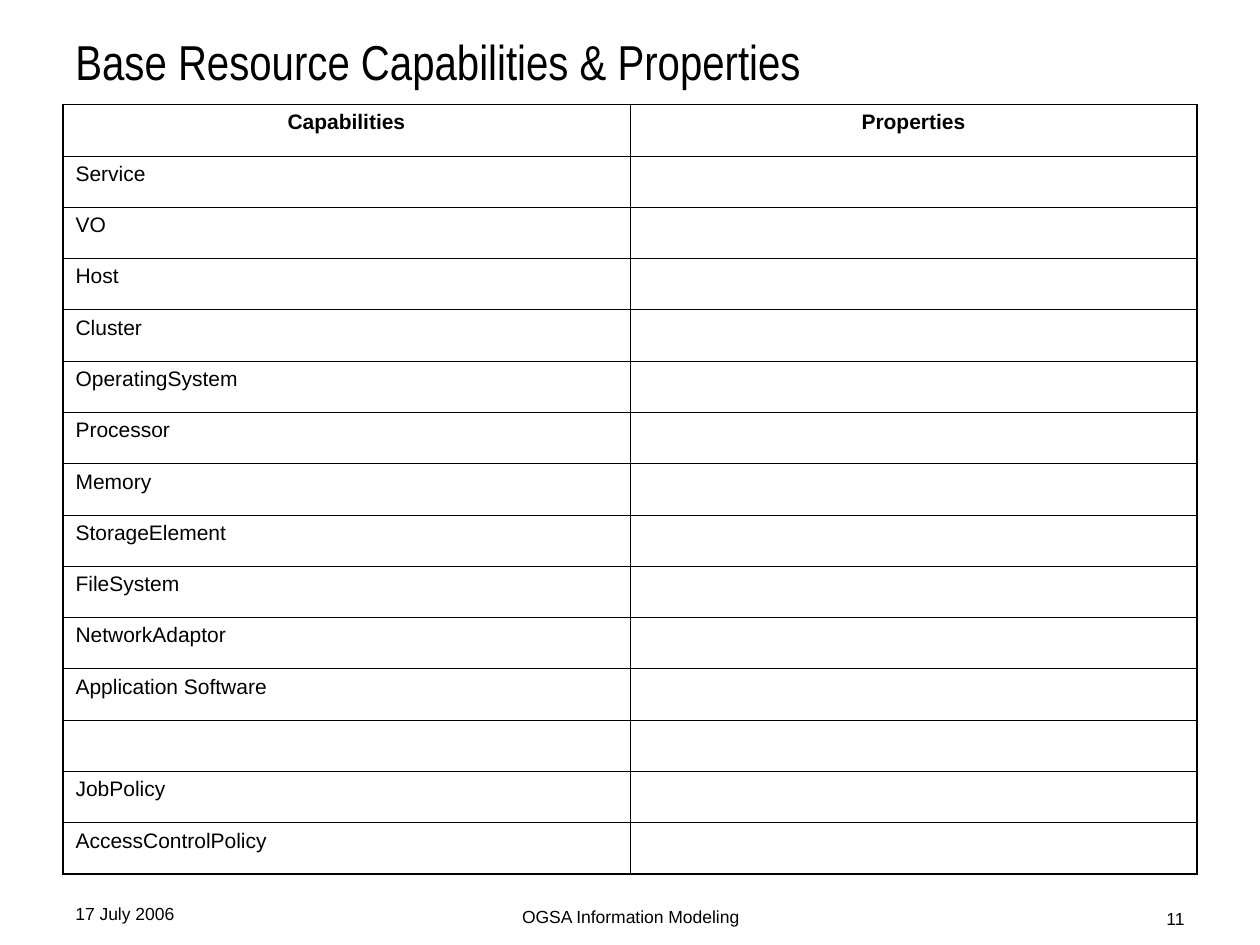
from lxml import etree
from pptx import Presentation, util as u
from pptx.dml.color import RGBColor
from pptx.enum import text
from pptx.oxml.ns import qn

BLACK = RGBColor(0, 0, 0)
THICK, THIN = 1.08, 0.45
W, H, MARGIN = 10, 7.5, 0.5
LEFT, CENTER, RIGHT = text.PP_ALIGN.LEFT, text.PP_ALIGN.CENTER, text.PP_ALIGN.RIGHT
TOP, MIDDLE = text.MSO_ANCHOR.TOP, text.MSO_ANCHOR.MIDDLE

HEADERS = ["Capabilities", "Properties"]
CAPABILITIES = [
    "Service", "VO", "Host", "Cluster", "OperatingSystem", "Processor",
    "Memory", "StorageElement", "FileSystem", "NetworkAdaptor",
    "Application Software", "", "JobPolicy", "AccessControlPolicy",
]
TABLE_TOP, TABLE_H = 0.83, 6.11
LABELS = [
    ("Base Resource Capabilities & Properties",
     (MARGIN, 0.3, W - 2 * MARGIN, 0.37), LEFT, MIDDLE, "Arial Narrow", 28),
    ("OGSA Information Modeling", (3.42, 7.14, 3.17, 0.21), CENTER, TOP, "Arial", 10),
    ("11", (7.17, 7.16, 2.33, 0.19), RIGHT, TOP, "Arial", 10),
    ("17 July 2006", (MARGIN, 7.12, 2.33, 0.23), LEFT, TOP, "Arial", 10),
]


def style(p, font, size, align, bold=False):
    p.alignment = align
    p.font.name, p.font.size, p.font.bold = font, u.Pt(size), bold
    p.font.color.rgb = BLACK


def add_label(s, words, box, align, anchor, font, size):
    tf = s.shapes.add_textbox(*map(u.Inches, box)).text_frame
    tf.word_wrap = True
    tf.vertical_anchor = anchor
    tf.text = words
    style(tf.paragraphs[0], font, size, align)


def set_borders(cell, widths):
    tcPr = cell._tc.get_or_add_tcPr()
    for i, (side, width) in enumerate(widths.items()):
        ln = etree.Element(qn(f"a:ln{side}"), w=str(u.Pt(width)))
        fill = etree.SubElement(ln, qn("a:solidFill"))
        etree.SubElement(fill, qn("a:srgbClr"), val=str(BLACK))
        tcPr.insert(i, ln)


def add_grid(s):
    rows = [HEADERS] + [[name, ""] for name in CAPABILITIES]
    n, m = len(rows), len(HEADERS)
    tbl = s.shapes.add_table(n, m, *map(
        u.Inches, (MARGIN, TABLE_TOP, W - 2 * MARGIN, TABLE_H))).table
    tbl.first_row = tbl.horz_banding = False
    for i, row in enumerate(rows):
        for j, words in enumerate(row):
            cell = tbl.cell(i, j)
            cell.text = words
            cell.fill.background()
            header = i == 0
            style(cell.text_frame.paragraphs[0], "Arial", 12,
                  CENTER if header else LEFT, header)
            outer = {"L": j == 0, "R": j == m - 1, "T": header, "B": i == n - 1}
            set_borders(cell, {k: THICK if v else THIN for k, v in outer.items()})


def main():
    prs = Presentation()
    prs.slide_width, prs.slide_height = u.Inches(W), u.Inches(H)
    s = prs.slides.add_slide(prs.slide_layouts[6])
    add_grid(s)
    for label in LABELS:
        add_label(s, *label)
    prs.save("out.pptx")


if __name__ == "__main__":
    main()
